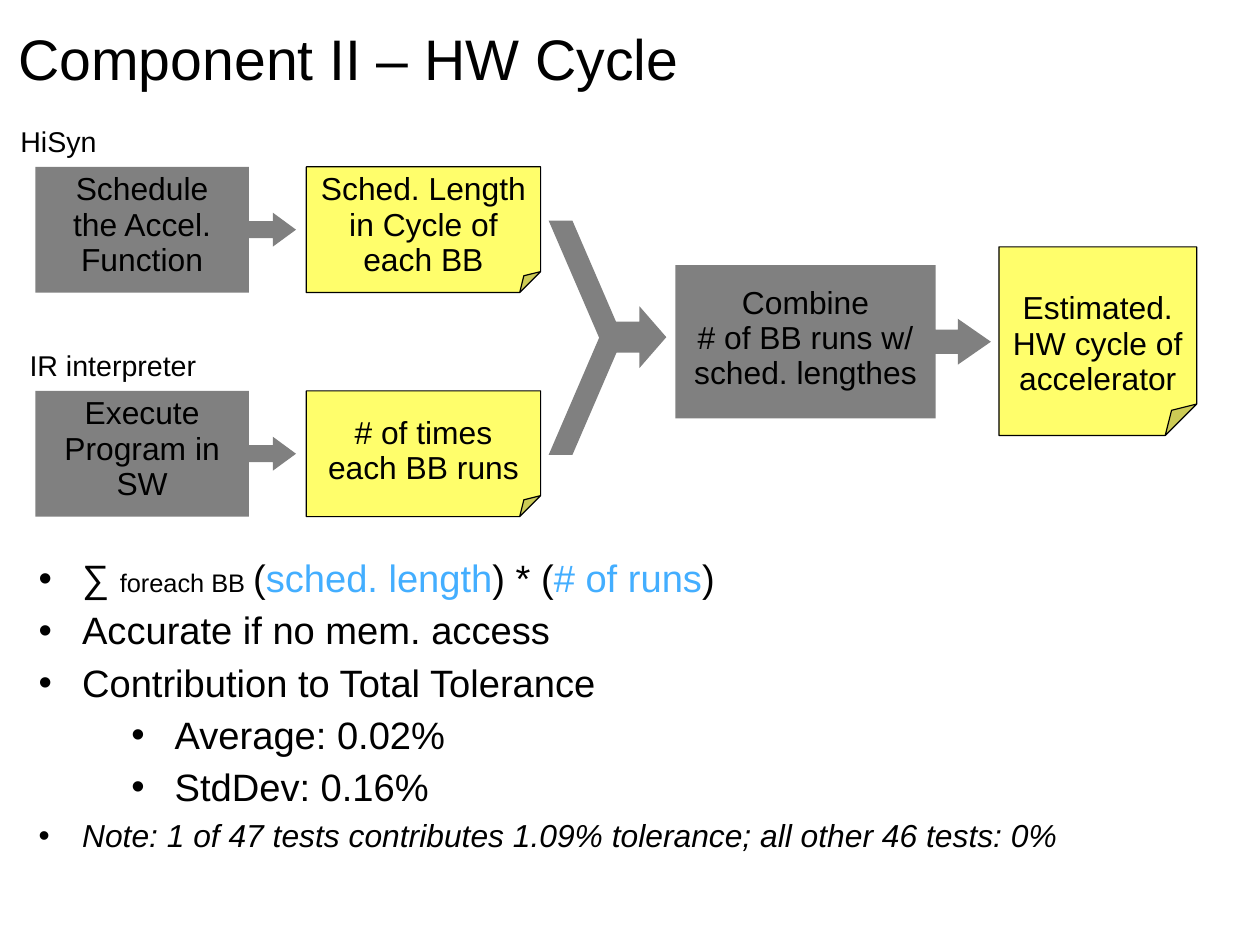
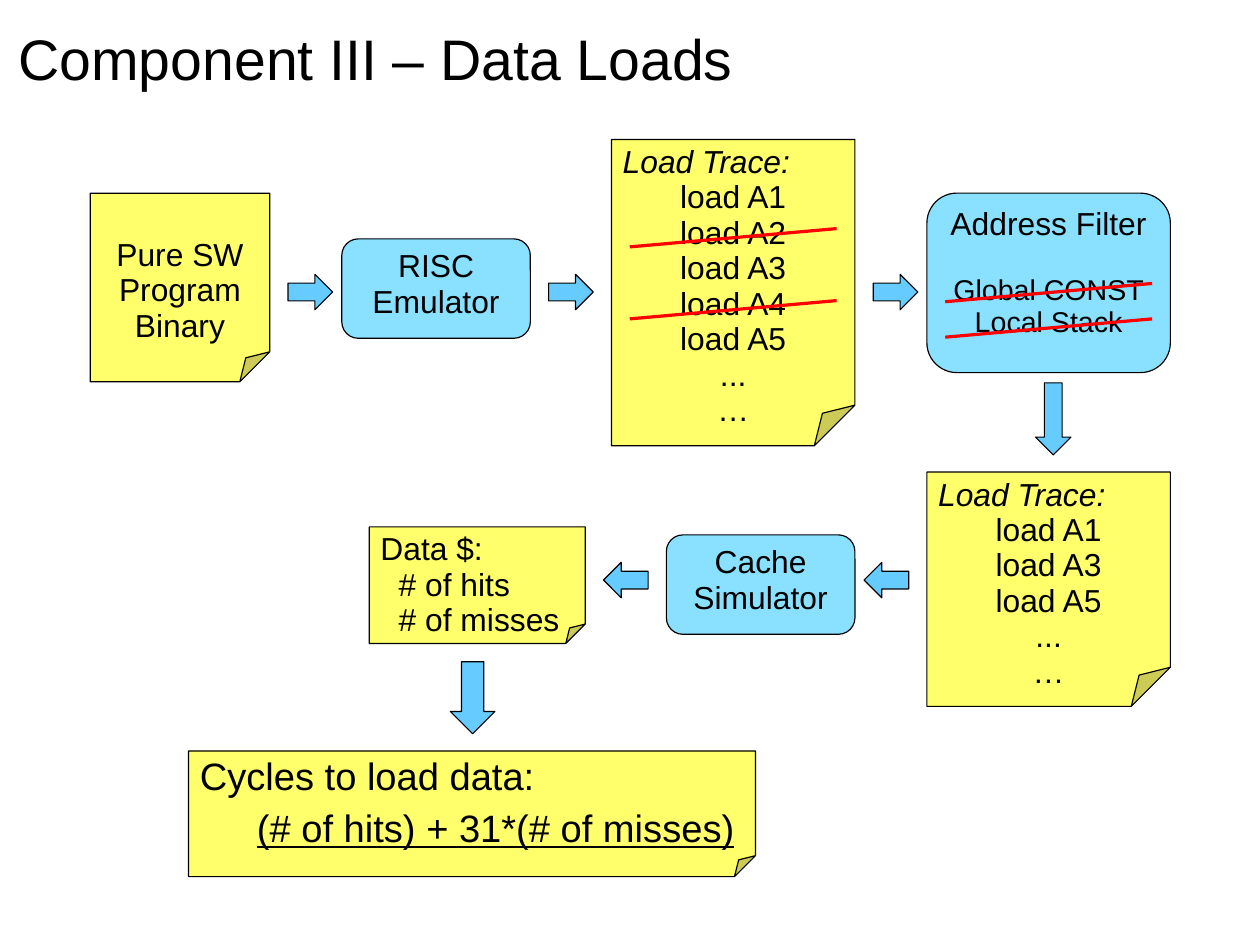
import pptx
import pptx.util
import pptx.dml.color
import pptx.enum.shapes
import pptx.enum.text
import pptx.oxml
import pptx.oxml.ns

Inches = pptx.util.Inches
Pt = pptx.util.Pt
RGBColor = pptx.dml.color.RGBColor
Kind = pptx.enum.shapes.MSO_SHAPE
Align = pptx.enum.text.PP_ALIGN
Anchor = pptx.enum.text.MSO_ANCHOR
Auto = pptx.enum.text.MSO_AUTO_SIZE

BLACK = RGBColor(0, 0, 0)
GRAY = RGBColor(0x80, 0x80, 0x80)
YELLOW = RGBColor(0xFF, 0xFE, 0x6B)
AQUA = RGBColor(0x89, 0xE0, 0xFF)
SKY = RGBColor(0x66, 0xCC, 0xFF)
BLUE = RGBColor(0x43, 0xAE, 0xFF)
RED = RGBColor(0xFF, 0, 0)

FONT = {"name": "Arial", "italic": False}
FRAME = {"auto_size": Auto.NONE, "word_wrap": True, "vertical_anchor": Anchor.TOP,
         "margin_left": Inches(0.1), "margin_right": Inches(0.1),
         "margin_top": Inches(0.05), "margin_bottom": Inches(0.05)}
LEFT = {"alignment": Align.LEFT}


def write(shape, rows, size=20, align=Align.CENTER, **frame):
    text = shape.text_frame
    for key, value in {**FRAME, **frame}.items():
        setattr(text, key, value)
    for i, row in enumerate(rows):
        runs, look = (row, {}) if isinstance(row, str) else row
        runs = [(runs, {})] if isinstance(runs, str) else runs
        para = text.paragraphs[0] if i == 0 else text.add_paragraph()
        base = {"alignment": align, "line_spacing": 0.93, "space_before": Pt(0)}
        for key, value in {**base, **look}.items():
            setattr(para, key, value)
        for words, style in runs:
            run = para.add_run()
            run.text = words
            run.font.color.rgb = style.get("color", BLACK)
            for key, value in {**FONT, "size": Pt(size), **style}.items():
                if key != "color":
                    setattr(run.font, key, value)


def draw(slide, kind, spot, fill, edge=True, adjust=()):
    shape = slide.shapes.add_shape(kind, *map(Inches, spot))
    shape.shadow.inherit = False
    shape.fill.solid()
    shape.fill.fore_color.rgb = fill
    if edge:
        shape.line.color.rgb = BLACK
        shape.line.width = Pt(0.75)
    else:
        shape.line.fill.background()
    for i, value in enumerate(adjust):
        shape.adjustments[i] = value
    return shape


deck = pptx.Presentation()
deck.slide_width, deck.slide_height = Inches(28 / 2.54), Inches(21 / 2.54)
slides = []
for name in ("Component II – HW Cycle", "Component III – Data Loads"):
    slide = deck.slides.add_slide(deck.slide_layouts[5])
    title = slide.shapes.title
    title.left, title.top, title.width, title.height = map(Inches, (0.16, 0.04, 9.45, 0.95))
    write(title, [name], 36, Align.LEFT, vertical_anchor=Anchor.MIDDLE, margin_left=0,
          margin_right=0, margin_top=Inches(0.04), margin_bottom=0)
    slides.append(slide)
cycle, loads = slides

tracks = [
    (1.46, 0.08, 0.95, "HiSyn", ["Schedule", "the Accel. Function"],
     "Sched. Length in Cycle of each BB", 0.05),
    (3.42, 0.16, 1.68, "IR interpreter", ["Execute Program in SW"],
     "# of times each BB runs", 0.22),
]
for top, left, width, tool, step, result, inset in tracks:
    label = cycle.shapes.add_textbox(*map(Inches, (left, top - 0.4, width, 0.39)))
    write(label, [tool], 18, Align.LEFT, word_wrap=False)
    call = draw(cycle, Kind.RIGHT_ARROW_CALLOUT, (0.31, top, 2.28, 1.1), GRAY, False,
                (0.135, 0.135, 0.184, 0.819))
    write(call, step)
    note = draw(cycle, Kind.FOLDED_CORNER, (2.68, top, 2.05, 1.1), YELLOW)
    write(note, [result], margin_top=Inches(inset))

draw(cycle, Kind.RIGHT_ARROW, (5.36, 2.68, 0.47, 0.54), GRAY, False)
draw(cycle, Kind.CHEVRON, (4.8, 1.93, 0.65, 2.05), GRAY, False, (0.68,))
merge = draw(cycle, Kind.RIGHT_ARROW_CALLOUT, (5.91, 2.32, 2.76, 1.34), GRAY, False,
             (0.159, 0.15, 0.216, 0.825))
write(merge, ["Combine", "# of BB runs w/ sched. lengthes"], margin_top=Inches(0.18))
total = draw(cycle, Kind.FOLDED_CORNER, (8.74, 2.16, 1.73, 1.65), YELLOW)
write(total, ["Estimated. HW cycle of accelerator"], margin_top=Inches(0.39))

gap = {"space_before": Pt(6)}
facts = [
    ([("∑ ", {}), ("foreach BB", {"size": Pt(16)}), (" ", {"size": Pt(18)}), ("(", {}),
      ("sched. length", {"color": BLUE}), (") * (", {}), ("# of runs", {"color": BLUE}),
      (")", {})], gap),
    ("Accurate if no mem. access", gap),
    ("Contribution to Total Tolerance", gap),
    ("Average: 0.02%", {**gap, "level": 1}),
    ("StdDev: 0.16%", {**gap, "level": 1}),
    ([("Note: 1 of 47 tests contributes 1.09% tolerance; all other 46 tests: 0%",
       {"size": Pt(20), "italic": True})], gap),
]
body = cycle.shapes.add_textbox(*map(Inches, (0.24, 4.84, 10.16, 2.72)))
write(body, facts, 24, Align.LEFT)
for para in body.text_frame.paragraphs:
    props = para._p.get_or_add_pPr()
    props.set("marL", str(Inches(1.19 if para.level else 0.38)))
    props.set("indent", str(Inches(-0.38)))
    mark = pptx.oxml.ns.nsdecls("a")
    props.append(pptx.oxml.parse_xml(f'<a:buFont {mark} typeface="Arial"/>'))
    props.append(pptx.oxml.parse_xml(f'<a:buChar {mark} char="•"/>'))

nodes = [
    ((2.99, 2.09, 1.65, 0.87), ["RISC Emulator"]),
    ((5.83, 4.68, 1.65, 0.87), ["Cache Simulator"]),
    ((8.11, 1.69, 2.13, 1.57), [
        "Address Filter",
        ([("Global CONST", {"size": Pt(18)})], {"space_before": Pt(20)}),
        ([("Local Stack", {"size": Pt(18)})], {})]),
]
for spot, rows in nodes:
    write(draw(loads, Kind.ROUNDED_RECTANGLE, spot, AQUA), rows)

head = ([("Load Trace:", {"italic": True})], LEFT)
notes = [
    ((0.79, 1.69, 1.57, 1.65), ["Pure SW Program Binary"], 20, 0.39),
    ((5.35, 1.22, 2.13, 2.68), [head, *(f"load A{n}" for n in range(1, 6)), "...", "…"], 20, 0.05),
    ((8.11, 4.13, 2.13, 2.05), [head, *(f"load A{n}" for n in (1, 3, 5)), "...", "…"], 20, 0.05),
    ((3.23, 4.61, 1.89, 1.02),
     [("Data $:", LEFT), ("# of hits", LEFT), ("# of misses", LEFT)], 20, 0.05),
    ((1.65, 6.57, 4.96, 1.1),
     [("Cycles to load data:", LEFT),
      ([("(# of hits) + 31*(# of misses)", {"underline": True})], {**LEFT, **gap})], 24, 0.05),
]
cards = []
for spot, rows, size, inset in notes:
    card = draw(loads, Kind.FOLDED_CORNER, spot, YELLOW)
    write(card, rows, size, margin_top=Inches(inset))
    cards.append(card)
for card, left in ((cards[3], 0.16), (cards[4], 0.5)):
    for para in card.text_frame.paragraphs[1:]:
        para._p.get_or_add_pPr().set("marL", str(Inches(left)))

for left in (2.52, 4.8, 7.64):
    draw(loads, Kind.RIGHT_ARROW, (left, 2.4, 0.39, 0.31), SKY)
for left in (5.28, 7.56):
    draw(loads, Kind.LEFT_ARROW, (left, 4.92, 0.39, 0.31), SKY)
for left, top, width in ((9.06, 3.35, 0.31), (3.94, 5.79, 0.39)):
    draw(loads, Kind.DOWN_ARROW, (left, top, width, 0.63), SKY)

for left, low in ((8.27, 2.64), (8.27, 2.95), (5.51, 2.16), (5.51, 2.79)):
    strike = loads.shapes.add_connector(
        pptx.enum.shapes.MSO_CONNECTOR.STRAIGHT,
        *map(Inches, (left, low, left + 1.81, low - 0.16)))
    strike.line.color.rgb = RED
    strike.line.width = Pt(2)
    strike._element.spPr.append(pptx.oxml.parse_xml(
        f'<a:effectLst {pptx.oxml.ns.nsdecls("a")}/>'))

deck.save("out.pptx")
